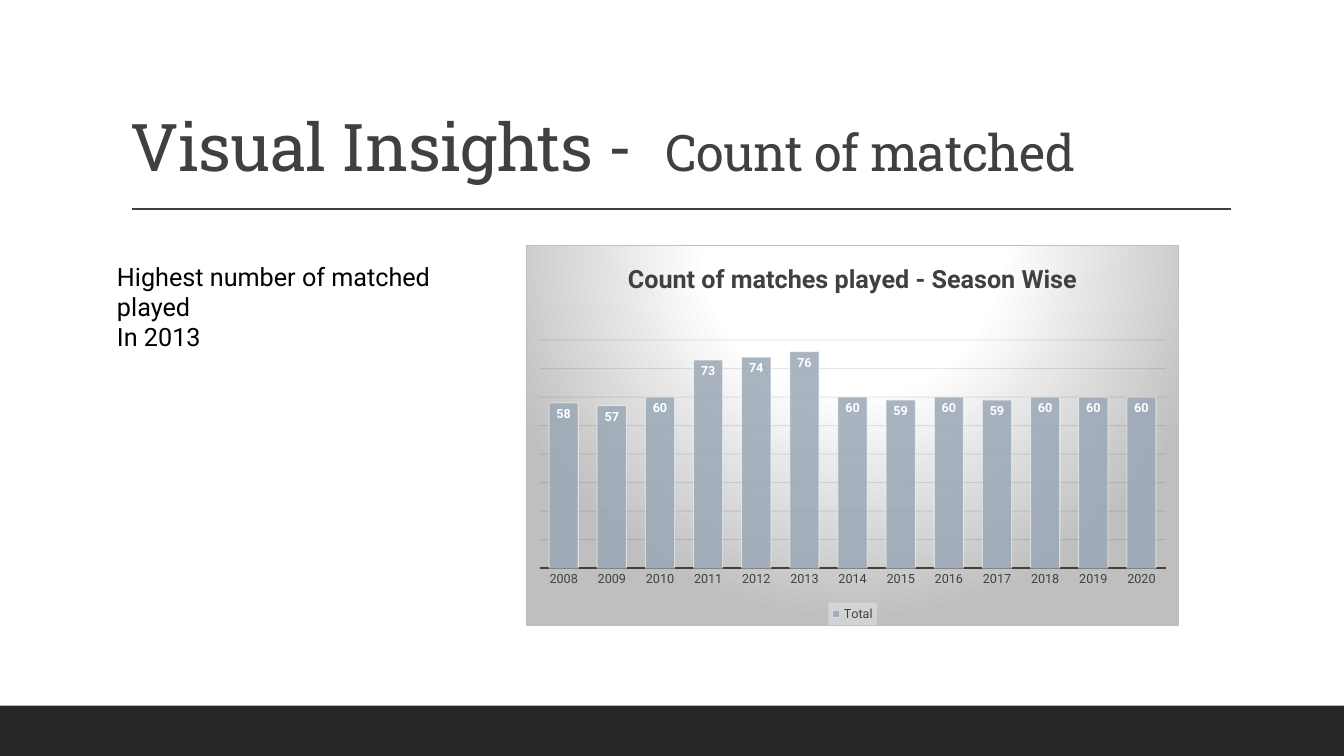
"""Build a slide showing the count of matches played in each season."""
from lxml import etree
from pptx import Presentation
from pptx.chart.data import CategoryChartData
from pptx.dml.color import RGBColor
from pptx.enum.chart import XL_CHART_TYPE as ChartType, XL_LABEL_POSITION as LabelPosition
from pptx.enum.chart import XL_LEGEND_POSITION as LegendPosition, XL_TICK_MARK as TickMark
from pptx.enum.shapes import MSO_CONNECTOR as Connector, MSO_SHAPE as Shape
from pptx.enum.text import MSO_ANCHOR as Anchor
from pptx.oxml import parse_xml
from pptx.oxml.ns import nsdecls, qn
from pptx.util import Pt

THEME = {
    "heading_font": "Roboto Slab", "body_font": "Roboto",
    "ink": RGBColor.from_string("404040"), "black": RGBColor.from_string("000000"),
    "white": RGBColor.from_string("FFFFFF"), "footer": RGBColor.from_string("262626"),
    "bar": RGBColor.from_string("9BA8B7"), "grid": RGBColor.from_string("0D0D0D"),
    "title": Pt(47), "subtitle": Pt(36), "body": Pt(18), "chart": Pt(10), "label": Pt(9),
    "hairline": Pt(0.75), "rule": Pt(1), "axis": Pt(1.5),
}
PX = 9525


def box(*lengths):
    return [length * PX for length in lengths]


def style(font, size, color, name=THEME["body_font"], bold=False):
    font.size, font.name, font.bold = size, name, bold
    font.color.rgb = color


presentation = Presentation()
presentation.slide_width, presentation.slide_height = box(1280, 720)
slide = presentation.slides.add_slide(presentation.slide_layouts[6])

footer = slide.shapes.add_shape(Shape.RECTANGLE, *box(0, 672, 1280, 48))
footer.shadow.inherit = False
footer.fill.solid()
footer.fill.fore_color.rgb = THEME["footer"]
footer.line.fill.background()

rule = slide.shapes.add_connector(Connector.STRAIGHT, *box(126, 199, 1172, 199))
rule.line.color.rgb = THEME["ink"]
rule.line.width = THEME["rule"]
etree.SubElement(rule.element.spPr, qn("a:effectLst"))

title = slide.shapes.add_textbox(*box(115, 30, 1056, 152))
title.text_frame.word_wrap = True
title.text_frame.vertical_anchor = Anchor.BOTTOM
paragraph = title.text_frame.paragraphs[0]
paragraph.line_spacing = 0.9
for text, size, spacing in [("Visual Insights -", "title", -50), (" ", "title", 1150),
                            ("Count of matched", "subtitle", -50)]:
    run = paragraph.add_run()
    run.text = text
    style(run.font, THEME[size], THEME["ink"], THEME["heading_font"])
    run.font._element.set("spc", str(spacing))

finding = slide.shapes.add_textbox(*box(102, 244, 383, 68))
finding.text_frame.word_wrap = True
finding.text_frame.text = "Highest number of matched played\nIn 2013"
for paragraph in finding.text_frame.paragraphs:
    style(paragraph.runs[0].font, THEME["body"], THEME["black"])

matches = CategoryChartData()
matches.categories = [str(season) for season in range(2008, 2021)]
matches.add_series("Total", [58, 57, 60, 73, 74, 76, 60, 59, 60, 59, 60, 60, 60])
chart = slide.shapes.add_chart(
    ChartType.COLUMN_CLUSTERED, *box(501, 233, 622, 363), matches).chart
style(chart.font, THEME["chart"], THEME["black"])
chart.has_title = True
chart.chart_title.text_frame.text = "Count of matches played - Season Wise"
chart_title_run = chart.chart_title.text_frame.paragraphs[0].runs[0]
style(chart_title_run.font, THEME["body"], THEME["ink"], bold=True)

chart.has_legend = True
chart.legend.position = LegendPosition.BOTTOM
chart.legend.include_in_layout = False
style(chart.legend.font, THEME["label"], THEME["ink"])

season_axis = chart.category_axis
season_axis.major_tick_mark = season_axis.minor_tick_mark = TickMark.NONE
style(season_axis.tick_labels.font, THEME["label"], THEME["ink"])
season_axis.format.line.color.rgb = THEME["ink"]
season_axis.format.line.width = THEME["axis"]

count_axis = chart.value_axis
count_axis.minimum_scale, count_axis.maximum_scale, count_axis.major_unit = 0, 80, 10
count_axis.visible = False
count_axis.has_major_gridlines = True
count_axis.major_gridlines.format.line.color.rgb = THEME["grid"]
count_axis.major_gridlines.format.line.width = THEME["hairline"]

plot = chart.plots[0]
plot.gap_width = 65
plot.vary_by_categories = False
plot.has_data_labels = True
plot.data_labels.show_value = True
plot.data_labels.position = LabelPosition.INSIDE_END
style(plot.data_labels.font, THEME["label"], THEME["white"], bold=True)
bars = plot.series[0].format
bars.fill.solid()
bars.fill.fore_color.rgb = THEME["bar"]
bars.line.color.rgb = THEME["white"]
bars.line.width = THEME["hairline"]

for location, percent in [("//c:ser/c:spPr/a:solidFill", 85), ("//c:ser/c:spPr/a:ln", 50),
                          ("//c:majorGridlines", 10)]:
    for color in chart.element.xpath(f"{location}//a:srgbClr"):
        etree.SubElement(color, qn("a:alpha")).set("val", str(percent * 1000))

plot_area = chart.element.xpath("//c:plotArea")[0]
for layout in plot_area.findall(qn("c:layout")):
    plot_area.remove(layout)
plot_area.insert(0, parse_xml(
    f'<c:layout {nsdecls("c")}><c:manualLayout><c:layoutTarget val="inner"/>'
    '<c:xMode val="edge"/><c:yMode val="edge"/><c:x val="0.02"/><c:y val="0.25"/>'
    '<c:w val="0.96"/><c:h val="0.6"/></c:manualLayout></c:layout>'))

chart.element.find(qn("c:chart")).addnext(parse_xml(
    f'<c:spPr {nsdecls("c", "a")}><a:gradFill><a:gsLst>'
    '<a:gs pos="0"><a:srgbClr val="FFFFFF"/></a:gs>'
    '<a:gs pos="39000"><a:srgbClr val="FFFFFF"/></a:gs>'
    '<a:gs pos="100000"><a:srgbClr val="BFBFBF"/></a:gs></a:gsLst>'
    '<a:path path="circle"><a:fillToRect l="50000" t="-80000" r="50000" b="180000"/></a:path>'
    '</a:gradFill><a:ln w="9525"><a:solidFill><a:srgbClr val="BFBFBF"/></a:solidFill></a:ln>'
    '</c:spPr>'))
chart.element.xpath("//c:legend/c:overlay")[0].addnext(parse_xml(
    f'<c:spPr {nsdecls("c", "a")}><a:solidFill><a:srgbClr val="F2F2F2">'
    '<a:alpha val="39000"/></a:srgbClr></a:solidFill></c:spPr>'))

presentation.save("out.pptx")
